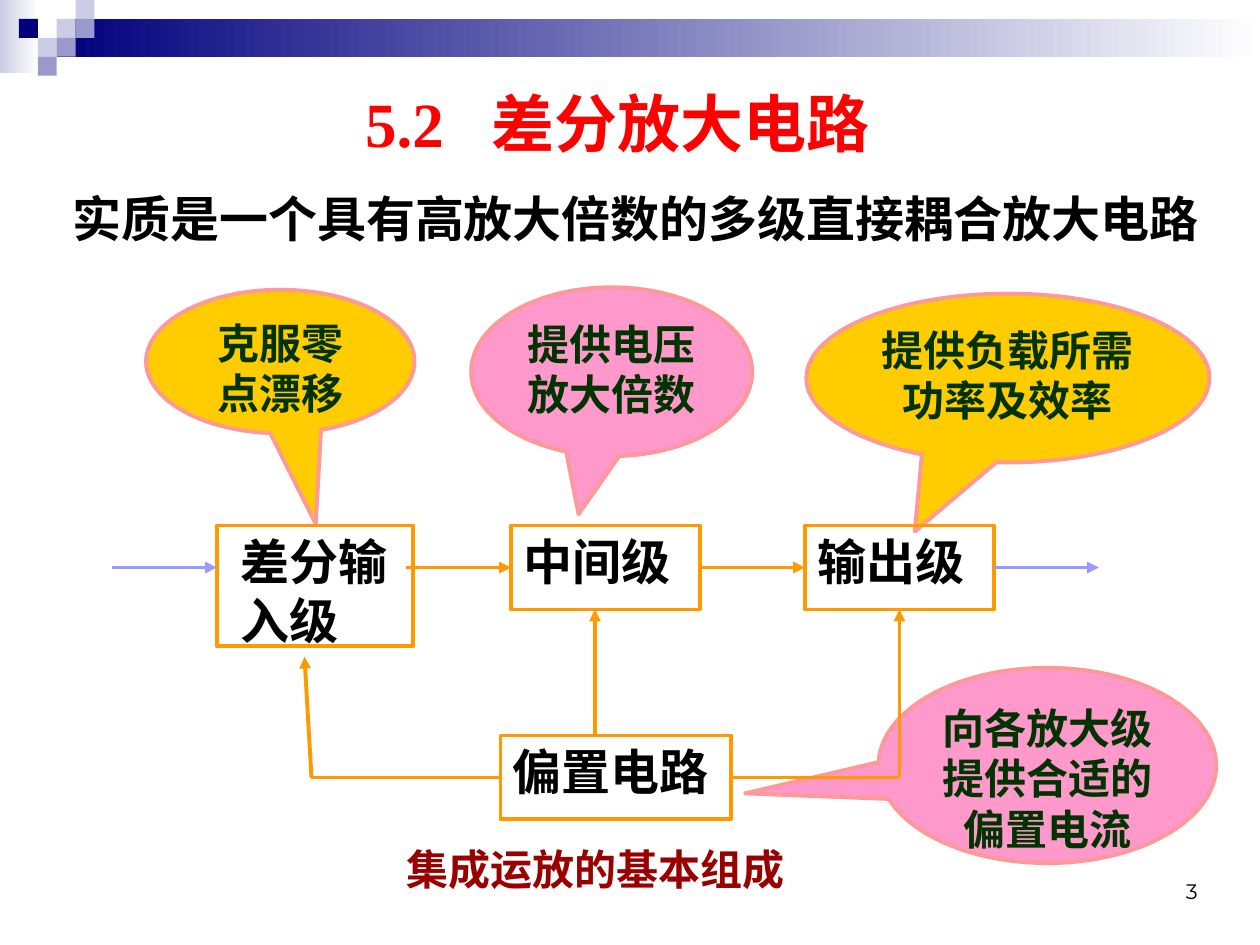
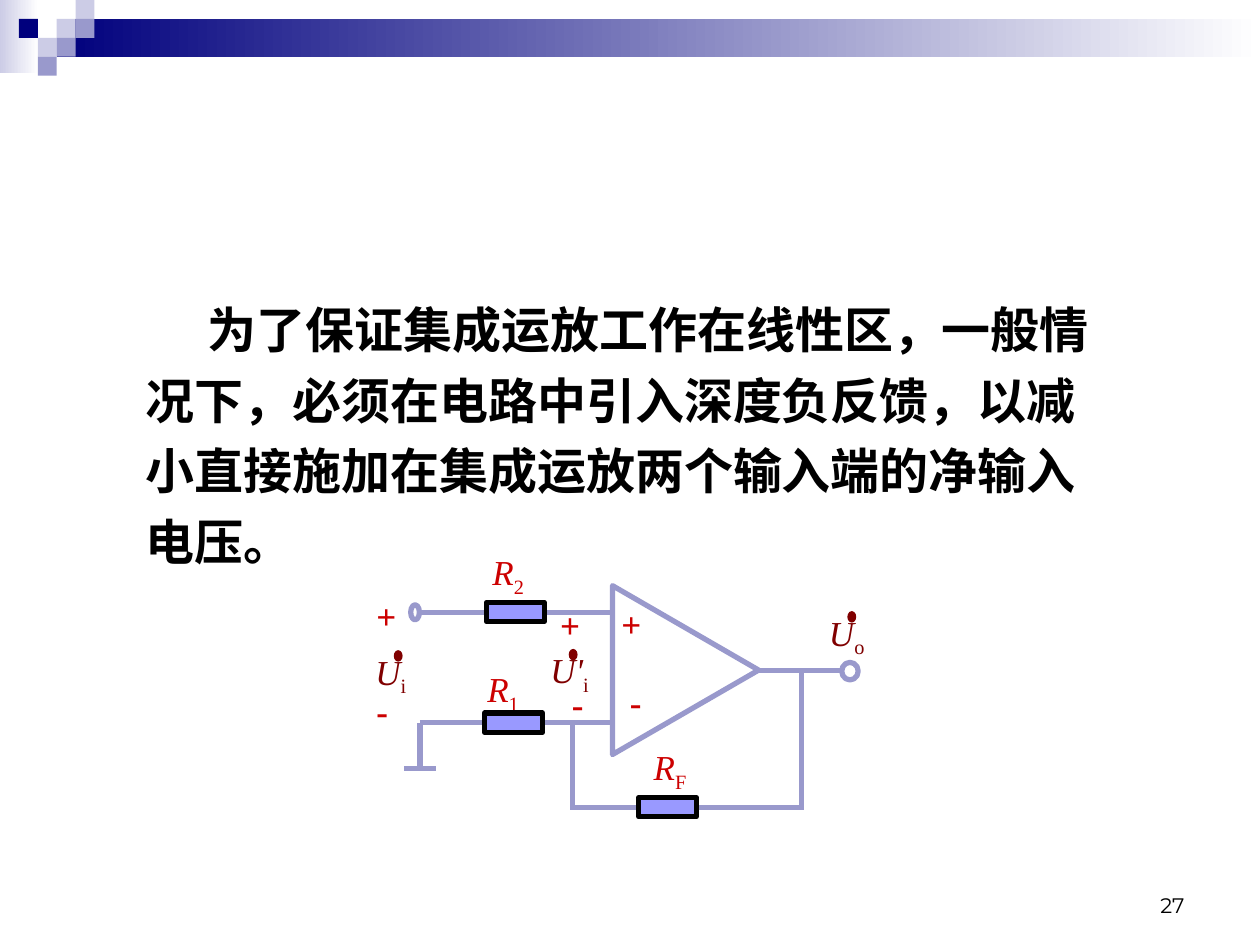
from lxml.etree import SubElement
from pptx import Presentation
from pptx.dml.color import RGBColor
from pptx.enum.shapes import MSO_CONNECTOR, MSO_SHAPE as SHAPE
from pptx.enum.text import MSO_ANCHOR as ANCHOR, PP_ALIGN as ALIGN
from pptx.oxml.ns import qn
from pptx.util import Pt

NAVY, STEEL, MIST, PERIWINKLE = "00007D", "9999CC", "CCCCE6", "9999FF"
ORANGE, GOLD, PINK, SALMON = "FF9900", "FFCC00", "FF99CC", "FF9999"
RED, SIGN_RED, MAROON, BRICK = "FF0000", "CC0000", "800000", "990000"
DARK_GREEN, BLACK, WHITE = "003300", "000000", "FFFFFF"
SERIF = "Times New Roman"


def rgb(color):
    return RGBColor.from_string(color)


def add_shape(page, kind, box, fill=None, line=None, width=2.25):
    shape = page.shapes.add_shape(kind, *map(Pt, box))
    shape.shadow.inherit = False
    if fill:
        shape.fill.solid()
        shape.fill.fore_color.rgb = rgb(fill)
    else:
        shape.fill.background()
    if line:
        shape.line.color.rgb = rgb(line)
        shape.line.width = Pt(width)
    else:
        shape.line.fill.background()
    return shape


def add_line(page, start, end, color, width=2.25, arrow=False):
    line = page.shapes.add_connector(
        MSO_CONNECTOR.STRAIGHT, *map(Pt, (*start, *end)))
    line.line.color.rgb = rgb(color)
    line.line.width = Pt(width)
    if arrow:
        SubElement(line.line._get_or_add_ln(), qn("a:tailEnd"), type="triangle")
    SubElement(line._element.spPr, qn("a:effectLst"))


def write(shape, text, size, color, bold=True, font=SERIF, align=ALIGN.LEFT,
          anchor=ANCHOR.TOP):
    frame = shape.text_frame
    frame.word_wrap = True
    frame.vertical_anchor = anchor
    para = frame.paragraphs[0]
    para.add_run().text = text
    para.alignment = align
    para.font.name = font
    para.font.size = Pt(size)
    para.font.bold = bold
    para.font.color.rgb = rgb(color)
    return para


def add_text(page, box, *args, **style):
    return write(page.shapes.add_textbox(*map(Pt, box)), *args, **style)


def add_gradient(page, box, start, end):
    fill = add_shape(page, SHAPE.RECTANGLE, box).fill
    fill.gradient()
    fill.gradient_angle = 0
    for stop, color in zip(fill.gradient_stops, (start, end)):
        stop.color.rgb = rgb(color)


def add_header(page, unit=10.8):
    """Gradient bands with a mosaic of squares on a grid of the given unit."""
    add_gradient(page, (0, 0, 22, 42), MIST, WHITE)
    add_gradient(page, (3 * unit, unit, 720 - 3 * unit, 2 * unit), NAVY, WHITE)
    squares = [(3, 1, MIST), (4, 0, MIST), (4, 1, STEEL), (2, 2, MIST),
               (1, 1, NAVY), (3, 2, STEEL), (2, 3, STEEL)]
    for column, row, color in squares:
        add_shape(page, SHAPE.RECTANGLE,
                  (column * unit, row * unit, unit, unit), color)


def add_page_number(page, left, top, number):
    add_text(page, (left, top, 168, 36), number, 12, BLACK, bold=False,
             font="Montserrat", align=ALIGN.RIGHT, anchor=ANCHOR.BOTTOM)


def add_callout(page, box, tip, fill, text):
    callout = add_shape(page, SHAPE.OVAL_CALLOUT, box, fill, SALMON)
    callout.adjustments[0], callout.adjustments[1] = tip
    write(callout, text, 24, DARK_GREEN, align=ALIGN.CENTER)


def add_stage(page, box, name, indent=7.2):
    stage = add_shape(page, SHAPE.RECTANGLE, box, line=ORANGE)
    stage.text_frame.margin_left = Pt(indent)
    write(stage, name, 28, BLACK)


def add_block_diagram(page, left, top):
    step, arrow_length, arrow_y, bias_y = 168, 60, 24, 144

    def at(x, y):
        return left + x, top + y

    add_stage(page, (*at(60, 0), 112, 69), "差分输入级", indent=13.7)
    add_stage(page, (*at(60 + step, 0), 108, 48), "中间级")
    add_stage(page, (*at(60 + 2 * step, 0), 108, 48), "输出级")
    add_stage(page, (*at(222, 120), 132, 48), "偏置电路")
    for index, color in enumerate((PERIWINKLE, ORANGE, ORANGE, PERIWINKLE)):
        x = index * step
        add_line(page, at(x, arrow_y), at(x + arrow_length, arrow_y), color,
                 arrow=True)
    for start, end in [((276, 120), (276, 48)), ((114, bias_y), (110, 75)),
                       ((450, bias_y), (450, 48))]:
        add_line(page, at(*start), at(*end), ORANGE, arrow=True)
    for start_x, end_x in [(354, 450), (114, 222)]:
        add_line(page, at(start_x, bias_y), at(end_x, bias_y), ORANGE)
    add_text(page, (*at(84, 178), 385, 36), "集成运放的基本组成", 24, BRICK,
             font="Noto Sans CJK SC", align=ALIGN.CENTER)


def add_symbol(page, position, letter, subscript, color):
    para = add_text(page, (*position, 52, 35), letter, 20, color, bold=False)
    para.runs[0].font.italic = True
    span = para.add_run()
    span.text = subscript
    span.font._element.set("baseline", "-25000")


def add_feedback_circuit(page, left, top):
    def at(x, y):
        return left + x, top + y

    plus_y, output_y, minus_y, feedback_y, ground_y = 39, 72, 102, 150.5, 128
    tap_x, output_x, ground_x = 119, 250, 32
    wires = [((31, plus_y), (70, plus_y)),
             ((102, plus_y), (141, plus_y)),
             ((ground_x, minus_y), (142, minus_y)),
             ((tap_x, feedback_y), (output_x, feedback_y)),
             ((226, output_y), (274, output_y)),
             ((tap_x, minus_y), (tap_x, 152)),
             ((output_x, output_y), (output_x, 152)),
             ((23, ground_y), (41, ground_y)),
             ((ground_x, minus_y), (ground_x, ground_y))]
    for start, end in wires:
        add_line(page, at(*start), at(*end), STEEL, 3)

    amplifier = add_shape(page, SHAPE.ISOSCELES_TRIANGLE,
                          (*at(135.5, 30.2), 96.5, 83.5), line=STEEL, width=3)
    amplifier.rotation = 90
    for x, y, width, height in [(26.7, 34.6, 5, 8.6), (273, 67.5, 9.4, 10)]:
        add_shape(page, SHAPE.OVAL, (*at(x, y), width, height),
                  line=STEEL, width=3)

    signs = [(140, 29.6, "+"), (144.8, 74.2, "-"), (105, 30.3, "+"),
             (111.7, 75.6, "-"), (0, 25.2, "+"), (0, 79.2, "-")]
    for x, y, sign in signs:
        add_text(page, (*at(x, y), 36, 32), sign, 20, SIGN_RED)

    phasors = [(99.4, 56.2, "U'", "i"), (-0.6, 56.9, "U", "i"),
               (258.6, 34.6, "U", "o")]
    for x, y, letter, subscript in phasors:
        add_symbol(page, at(x, y), letter, subscript, MAROON)
        add_shape(page, SHAPE.OVAL, (*at(x + 18, y + 4), 4.3, 5.8),
                  MAROON, MAROON, 0.75)

    resistors = [(69, 96.5, "1", -5.6, -29.5), (157, 144.8, "F", 1.5, -33.2),
                 (70, 33.2, "2", -3.7, -33.2)]
    for x, y, subscript, label_dx, label_dy in resistors:
        add_symbol(page, at(x + label_dx, y + label_dy), "R", subscript,
                   SIGN_RED)
        add_shape(page, SHAPE.RECTANGLE, (*at(x, y), 33, 11),
                  PERIWINKLE, BLACK, 3)


def build_composition_page(page):
    add_header(page)
    add_page_number(page, 523.5, 484, "3")
    callouts = [
        ((502, 381.6, 193, 111.6), (-0.895, 0.143), PINK,
         "向各放大级提供合适的偏置电流"),
        ((83.5, 165.6, 153.4, 82), (0.132, 1.132), GOLD, "克服零点漂移"),
        ((460.8, 167.8, 230.4, 96.5), (-0.231, 0.909), GOLD,
         "提供负载所需功率及效率"),
        ((269.3, 164.2, 160.6, 96.5), (-0.118, 0.844), PINK,
         "提供电压放大倍数")]
    for callout in callouts:
        add_callout(page, *callout)
    add_block_diagram(page, 64, 300.3)
    title = add_text(page, (201.6, 44.6, 332, 50), "5.2\t差分放大电路", 36, RED)
    tabs = SubElement(title._p.get_or_add_pPr(), qn("a:tabLst"))
    title._p.pPr.insert(0, tabs)
    SubElement(tabs, qn("a:tab"), pos=str(Pt(72)), algn="l")
    add_text(page, (34.4, 104.4, 673, 41),
             "实质是一个具有高放大倍数的多级直接耦合放大电路", 28, BLACK)


def build_feedback_page(page):
    add_header(page)
    add_page_number(page, 516, 492, "27")
    para = add_text(
        page, (76.3, 161, 562, 300),
        "为了保证集成运放工作在线性区，一般情况下，必须在电路中引入深度负反馈，"
        "以减小直接施加在集成运放两个输入端的净输入电压。",
        28, BLACK, font="Arial")
    para.line_spacing = 1.2
    para._p.get_or_add_pPr().set("indent", str(Pt(35.5)))
    add_feedback_circuit(page, 208, 311)


def main():
    deck = Presentation()
    deck.slide_width, deck.slide_height = Pt(720), Pt(540)
    for build in (build_composition_page, build_feedback_page):
        build(deck.slides.add_slide(deck.slide_layouts[6]))
    deck.save("out.pptx")


if __name__ == "__main__":
    main()
